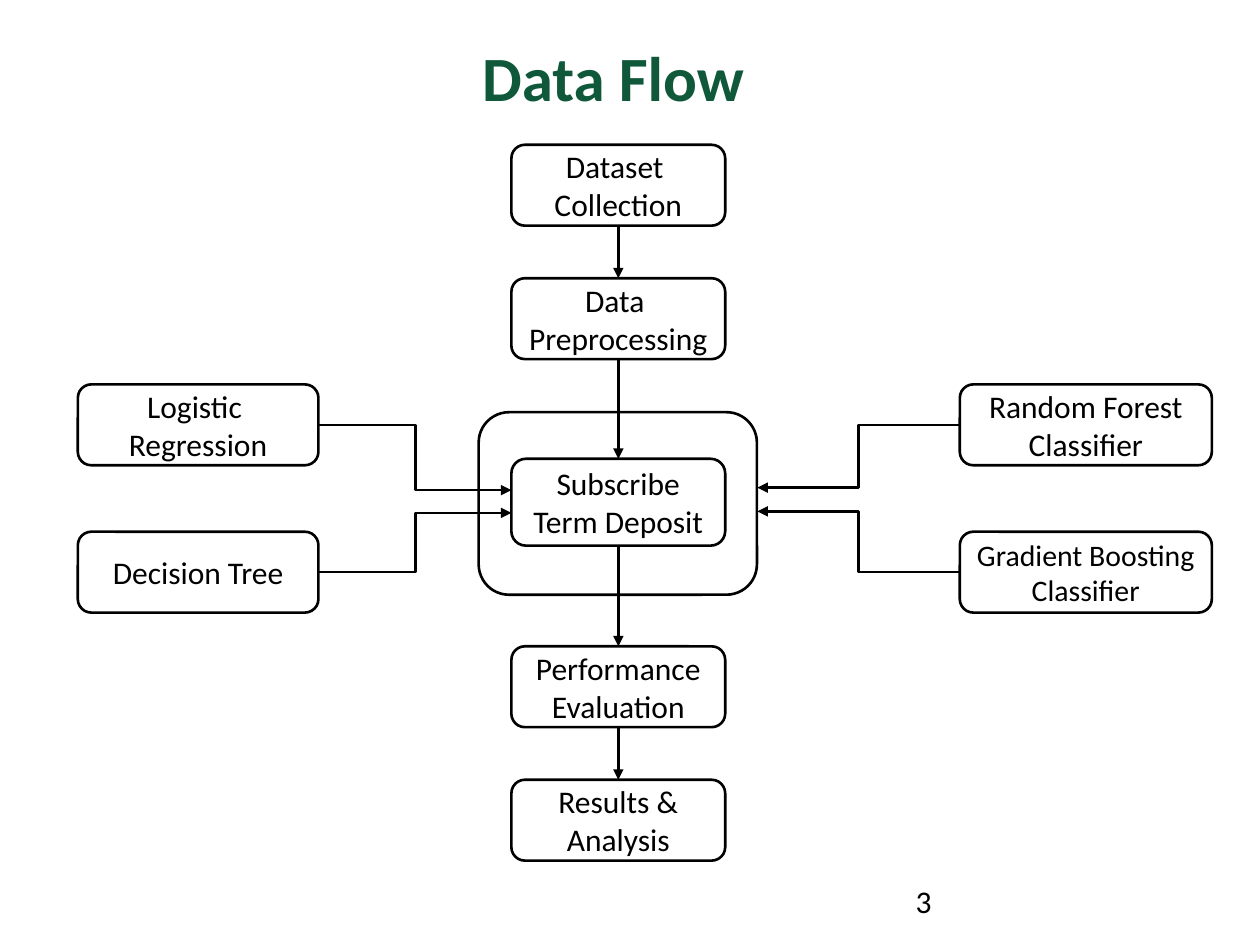
from lxml.etree import SubElement
from pptx import Presentation
from pptx.dml.color import RGBColor
from pptx.enum.shapes import MSO_CONNECTOR, MSO_SHAPE
from pptx.enum.text import MSO_ANCHOR, PP_ALIGN
from pptx.oxml.ns import qn
from pptx.util import Cm, Pt

COLORS = {"ink": "000000", "paper": "FFFFFF", "title": "0F583A"}
STEP_HEIGHT = 1.63


def color(name):
    """Return the named colour."""
    return RGBColor.from_string(COLORS[name])


def write(frame, lines, size, ink="ink", bold=False, align=PP_ALIGN.LEFT):
    """Fill a text frame with one paragraph per line."""
    frame.word_wrap = True
    frame.text = "\n".join(lines)
    for paragraph in frame.paragraphs:
        paragraph.alignment = align
        paragraph.font.name = "Calibri"
        paragraph.font.size = Pt(size)
        paragraph.font.bold = bold
        paragraph.font.color.rgb = color(ink)


def add_label(slide, box, text, size, ink="ink", bold=False):
    """Add a plain line of text in the given box."""
    label = slide.shapes.add_textbox(*map(Cm, box))
    write(label.text_frame, [text], size, ink, bold)


def add_step(slide, box, lines=(), size=18):
    """Add a rounded box with centred lines."""
    step = slide.shapes.add_shape(MSO_SHAPE.ROUNDED_RECTANGLE, *map(Cm, box))
    step.shadow.inherit = False
    step.fill.solid()
    step.fill.fore_color.rgb = color("paper")
    step.line.color.rgb = color("ink")
    step.line.width = Pt(1.5)
    step.text_frame.vertical_anchor = MSO_ANCHOR.MIDDLE
    if lines:
        write(step.text_frame, lines, size, align=PP_ALIGN.CENTER)


def add_arrow(slide, start, end, kind=MSO_CONNECTOR.STRAIGHT):
    """Add an arrow that points at its end."""
    arrow = slide.shapes.add_connector(kind, *map(Cm, (*start, *end)))
    arrow.line.color.rgb = color("ink")
    arrow.line.width = Pt(1.5)
    SubElement(arrow.line._get_or_add_ln(), qn("a:tailEnd"), type="triangle")
    SubElement(arrow._element.spPr, qn("a:effectLst"))


def add_pipeline(slide, left, top, width):
    """Add the central column of steps and the arrows between them."""
    add_step(slide, (left - 0.66, top + 5.39, 5.61, 3.68))
    steps = [
        (0, STEP_HEIGHT, ("Dataset ", "Collection")),
        (2.69, STEP_HEIGHT, ("Data ", "Preprocessing")),
        (6.33, 1.75, ("Subscribe", "Term Deposit")),
        (10.11, STEP_HEIGHT, ("Performance", "Evaluation")),
        (12.8, STEP_HEIGHT, ("Results &", "Analysis")),
    ]
    for offset, height, lines in steps:
        add_step(slide, (left, top + offset, width, height), lines)
    center = left + width / 2
    for (offset, height, _), (following, _, _) in zip(steps, steps[1:]):
        add_arrow(slide, (center, top + offset + height), (center, top + following))


def add_models(slide, left, top, width, exit_x, target_x, target_ys, models):
    """Add a pair of stacked models with elbow arrows to the pipeline."""
    for row, (target_y, (lines, size)) in enumerate(zip(target_ys, models)):
        model_top = top + row * 2.97
        add_step(slide, (left, model_top, width, STEP_HEIGHT), lines, size)
        add_arrow(slide, (exit_x, model_top + STEP_HEIGHT / 2),
                  (target_x, target_y), MSO_CONNECTOR.ELBOW)


def build_data_flow(deck):
    """Build the data flow slide."""
    slide = deck.slides.add_slide(deck.slide_layouts[6])
    add_label(slide, (9.47, 0.66, 5.97, 1.8), "Data Flow", 36, "title", True)
    add_pipeline(slide, 10.31, 2.92, 4.31)
    add_models(slide, 1.57, 7.75, 4.85, 6.44, 10.31, (9.88, 10.34), [
        (("Logistic ", "Regression"), 18),
        (("Decision Tree",), 18),
    ])
    add_models(slide, 19.35, 7.75, 5.08, 19.35, 15.27, (9.83, 10.31), [
        (("Random Forest", "Classifier"), 18),
        (("Gradient Boosting Classifier",), 17),
    ])
    add_label(slide, (18.21, 17.65, 5.92, 1.02), "3", 18)


deck = Presentation()
deck.slide_width, deck.slide_height = Cm(25.4), Cm(19.05)
build_data_flow(deck)
deck.save("out.pptx")
